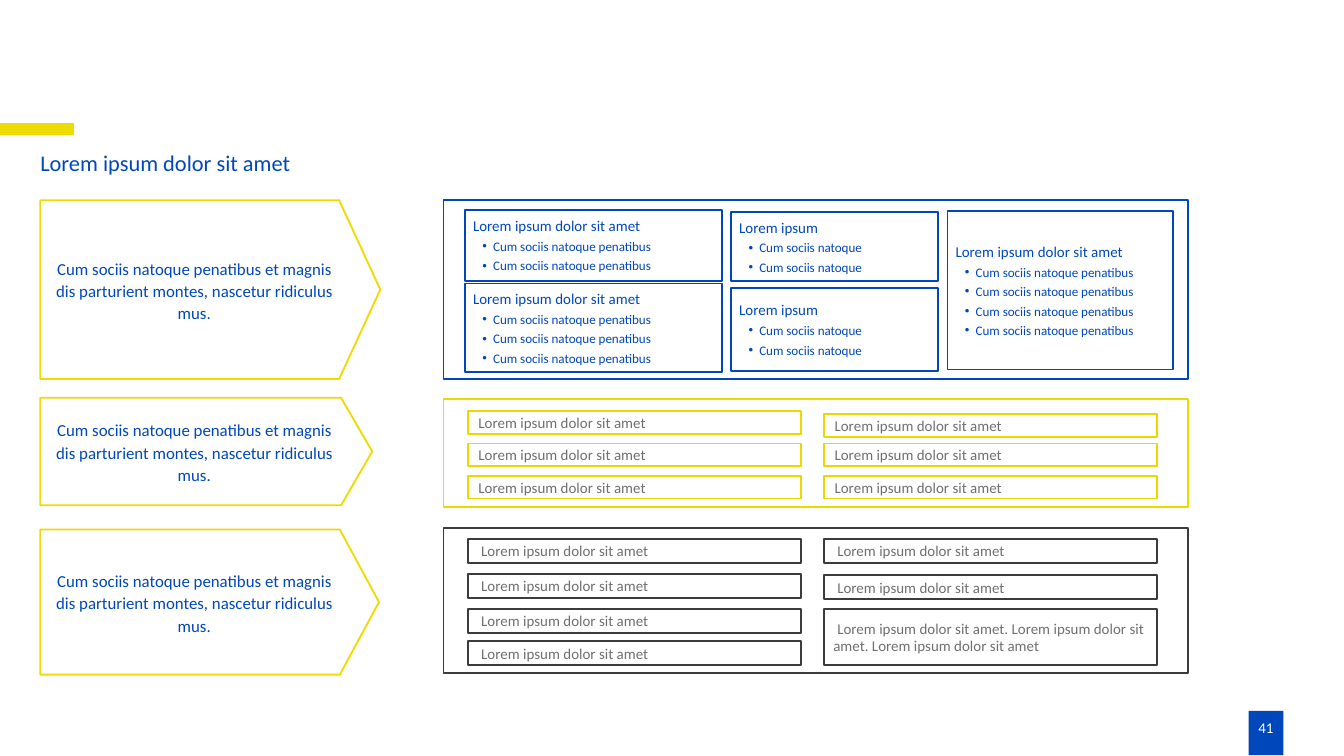
from pptx import Presentation
from pptx.dml.color import RGBColor
from pptx.enum.shapes import MSO_CONNECTOR, MSO_SHAPE
from pptx.enum.text import MSO_ANCHOR, MSO_AUTO_SIZE, PP_ALIGN
from pptx.oxml.ns import qn
from pptx.util import Inches, Pt
from lxml.etree import SubElement

BLUE, GOLD, DARK, GREY, WHITE = "0047BB", "EEDC00", "3C3C3B", "706F6F", "FFFFFF"
LOREM = "Lorem ipsum dolor sit amet"
CUM = "Cum sociis natoque"
LONG = f"{CUM} penatibus"
STEP = f"{LONG} et magnis dis parturient montes, nascetur ridiculus mus."

# panel top, arrow top, height, arrow width, arrow point, panel line
ROWS = [
    (1.49, 1.49, 1.33, 2.53, 0.23, BLUE),
    (2.97, 2.96, 0.80, 2.47, 0.29, "E6DC00"),
    (3.93, 3.94, 1.08, 2.52, 0.27, DARK),
]
# left, top, width, height, heading, bullet, bullet count
CARDS = [
    (3.46, 1.56, 1.91, 0.53, LOREM, LONG, 2),
    (3.46, 2.11, 1.91, 0.66, LOREM, LONG, 3),
    (5.44, 1.58, 1.54, 0.51, "Lorem ipsum", CUM, 2),
    (5.44, 2.14, 1.54, 0.62, "Lorem ipsum", CUM, 2),
    (7.05, 1.57, 1.68, 1.18, LOREM, LONG, 4),
]
# line, left inset, first-line indent, and for each column (top, height, text)
BARS = [
    ("EAD900", 0.08, 0, [
        [(top, 0.17, LOREM) for top in (3.06, 3.3, 3.54)],
        [(top, 0.17, LOREM) for top in (3.08, 3.3, 3.54)],
    ]),
    (DARK, 0.07, 0.03, [
        [(top, 0.18, LOREM) for top in (4.01, 4.27, 4.53, 4.77)],
        [(4.01, 0.18, LOREM), (4.28, 0.18, LOREM),
         (4.53, 0.42, f"{LOREM}. {LOREM}. {LOREM}")],
    ]),
]
COLS, BAR_W = (3.48, 6.13), 2.48

deck = Presentation()
deck.slide_width = Inches(10)
deck.slide_height = deck.slide_width * 9 // 16
slide = deck.slides.add_slide(deck.slide_layouts[5])
shapes = slide.shapes


def color(code):
    return RGBColor.from_string(code)


def box(at, fill=None, line=None, kind=MSO_SHAPE.RECTANGLE):
    shape = shapes.add_shape(kind, *map(Inches, at))
    shape.shadow.inherit = False
    if fill:
        shape.fill.solid()
        shape.fill.fore_color.rgb = color(fill)
    else:
        shape.fill.background()
    if line:
        shape.line.color.rgb = color(line)
        shape.line.width = Pt(1)
    else:
        shape.line.fill.background()
    return shape


def write(shape, *texts, size=8, ink=BLUE, align=PP_ALIGN.LEFT,
          anchor=MSO_ANCHOR.MIDDLE, pad=(0, 0, 0, 0), left=0, first=0,
          space=None):
    """Fill a shape: the first text is the heading, the rest are bullets."""
    frame = shape.text_frame
    frame.word_wrap = True
    frame.auto_size = MSO_AUTO_SIZE.NONE
    frame.vertical_anchor = anchor
    (frame.margin_left, frame.margin_top,
     frame.margin_right, frame.margin_bottom) = map(Inches, pad)
    for i, text in enumerate(texts):
        para = frame.add_paragraph() if i else frame.paragraphs[0]
        para.alignment = align
        props = para._p.get_or_add_pPr()
        props.set("marL", str(Inches(0.15 if i else left)))
        props.set("indent", str(Inches(-0.08 if i else first)))
        if i:
            SubElement(props, qn("a:buFont")).set("typeface", "Arial")
            SubElement(props, qn("a:buChar")).set("char", "•")
            para.space_before = Pt(2)
        if space:
            para.line_spacing = space
        run = para.add_run()
        run.text = text
        run.font.size = Pt(size - 1 if i else size)
        run.font.name = "Calibri"
        run.font.color.rgb = color(ink)


title = shapes.title
title.left, title.top, title.width, title.height = map(
    Inches, (0.3, 1.07, 9.15, 0.28))
write(title, LOREM, size=12, anchor=MSO_ANCHOR.TOP, pad=(0, 0.04, 0.07, 0.04))

rule = shapes.add_connector(MSO_CONNECTOR.STRAIGHT, 0, Inches(0.96),
                            Inches(0.55), Inches(0.96))
rule.line.color.rgb = color(GOLD)
rule.line.width = Pt(6)
SubElement(rule._element.spPr, qn("a:effectLst"))

box((9.29, 5.29, 0.26, 0.33), fill=BLUE)
page = shapes.add_textbox(*map(Inches, (9.3, 5.35, 0.21, 0.13)))
write(page, "41", ink=WHITE, align=PP_ALIGN.CENTER, anchor=MSO_ANCHOR.TOP,
      left=0.03)

for top, tip, high, wide, point, line in ROWS:
    box((3.3, top, 5.54, high), WHITE, line)
    arrow = box((0.3, tip, wide, high), WHITE, GOLD, MSO_SHAPE.PENTAGON)
    arrow.adjustments[0] = point
    label = shapes.add_textbox(*map(Inches, (0.3, tip, 2.22, high)))
    write(label, STEP, size=9, align=PP_ALIGN.CENTER, pad=(0, 0.03, 0, 0.03),
          left=0.07, space=1.1)

for *at, head, item, count in CARDS:
    write(box(at, line=BLUE), head, *[item] * count, pad=(0.06,) * 4)

for line, inset, first, lists in BARS:
    for x, bars in zip(COLS, lists):
        for top, high, text in bars:
            write(box((x, top, BAR_W, high), line=line), text, ink=GREY,
                  pad=(inset, 0.04, 0.07, 0.04), first=first)

deck.save("out.pptx")
